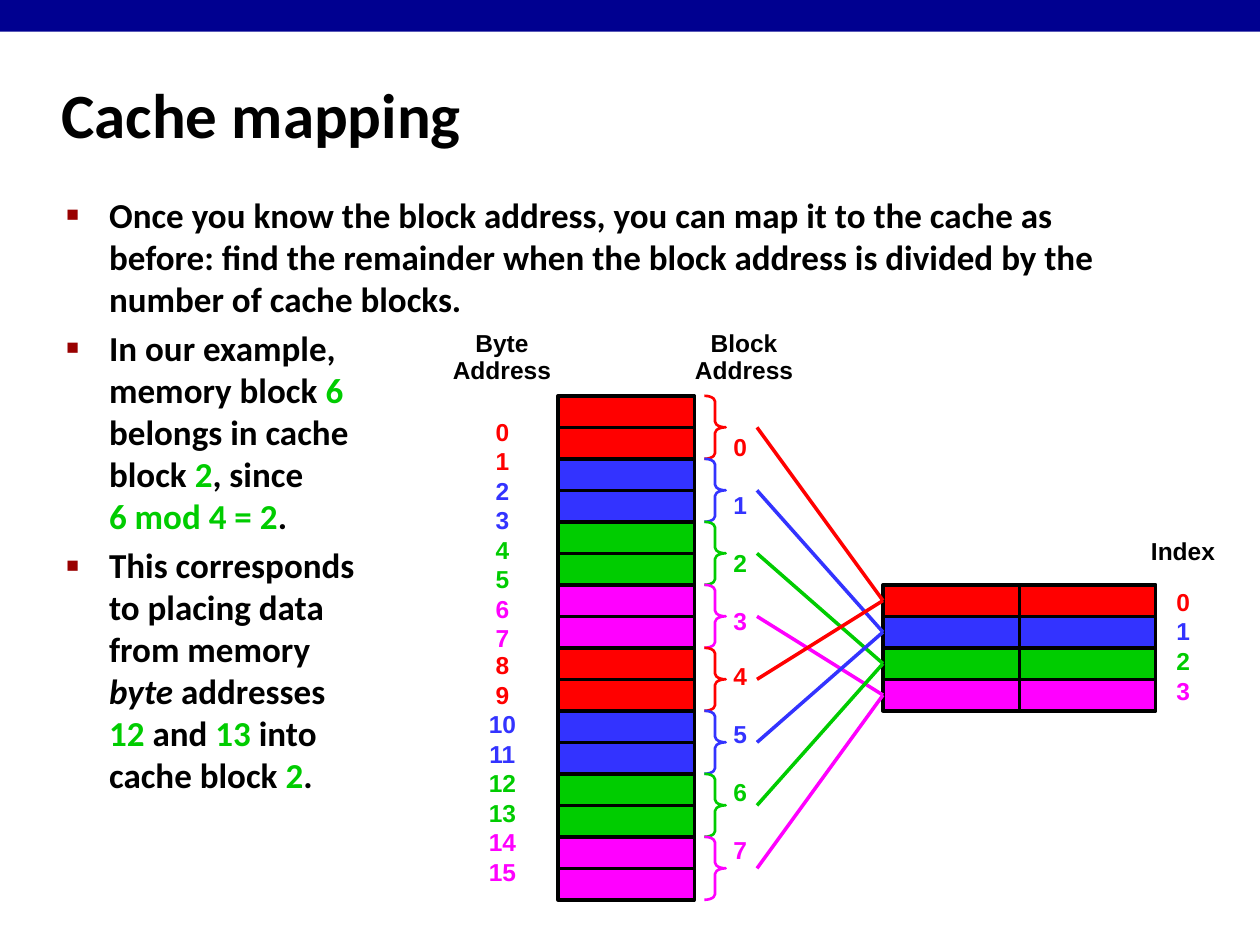
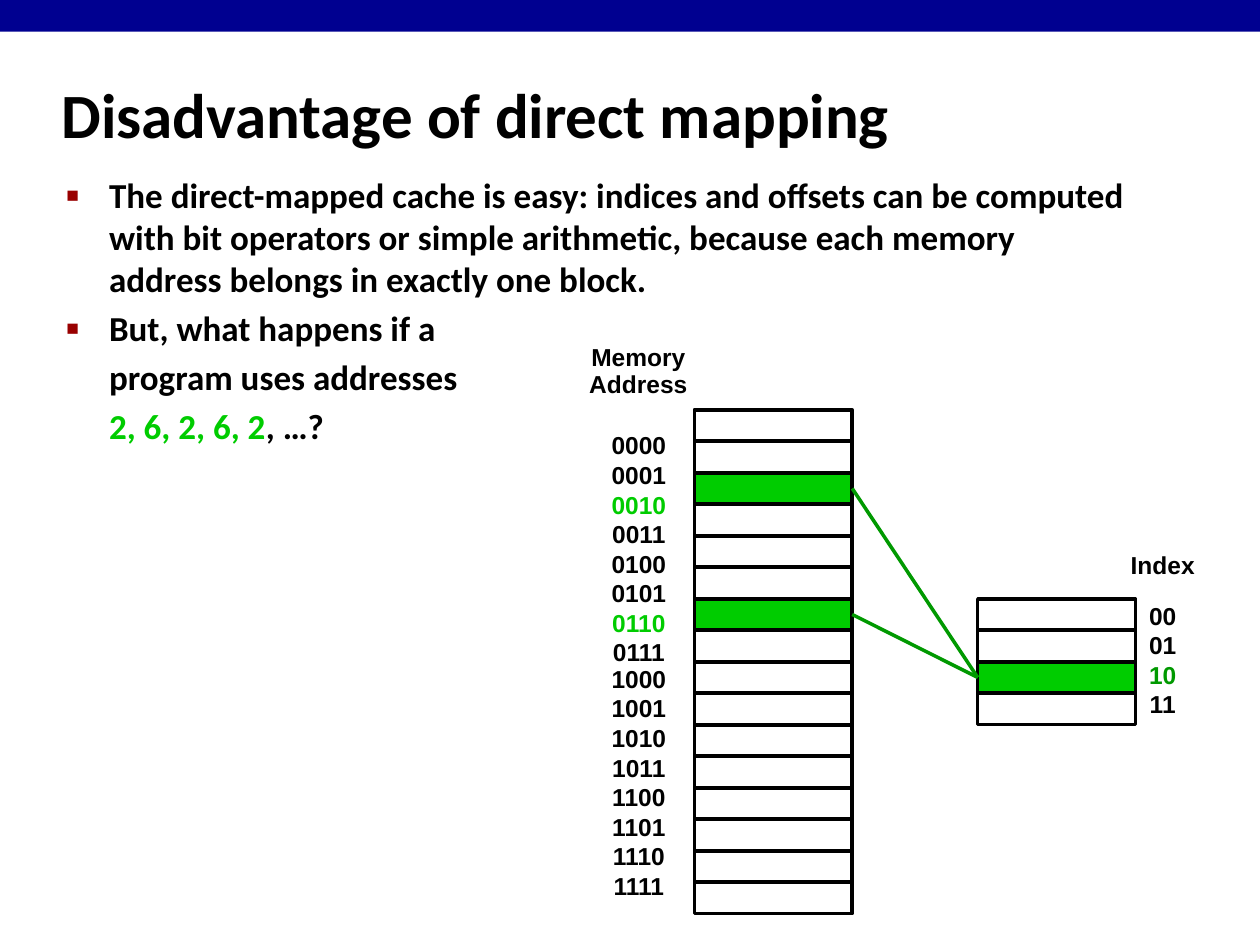
from lxml import etree
from pptx import Presentation
from pptx.dml.color import RGBColor
from pptx.enum.shapes import MSO_CONNECTOR, MSO_SHAPE
from pptx.enum.text import MSO_ANCHOR, PP_ALIGN
from pptx.oxml.ns import qn
from pptx.util import Cm, Pt

RECT, BRACE = MSO_SHAPE.RECTANGLE, MSO_SHAPE.RIGHT_BRACE
STRAIGHT = MSO_CONNECTOR.STRAIGHT
MIDDLE, CENTER = MSO_ANCHOR.MIDDLE, PP_ALIGN.CENTER
LEFT, RIGHT = 1, 3  # connection sites

BLACK, NAVY, MAROON = "000000", "000090", "990000"
RED, BLUE, GREEN, PINK = "FF0000", "3333FF", "00CC00", "FF00FF"
DARK = "009900"
HUES = [RED, BLUE, GREEN, PINK]
HEAD, BODY, LABEL = ("Calibri", 36), ("Calibri", 20), ("Arial", 14)

WIDE, HIGH = 25.4, 19.05
ROW = 10.16 / 16  # sixteen memory cells
TIGHT, LOOSE = 1.75, 18  # points between labels


def rgb(code):
    return RGBColor.from_string(code)


def style(run, face, hue=BLACK):
    font = run.font
    font.name, font.size, font.bold = face[0], Pt(face[1]), True
    font.color.rgb = rgb(hue)


def frame(slide, x, y, w, h):
    """Add a text box and return its wrapping text frame."""
    text = slide.shapes.add_textbox(Cm(x), Cm(y), Cm(w), Cm(h)).text_frame
    text.word_wrap = True
    return text


def shape(slide, kind, x, y, w, h, fill=None, line=None, weight=2):
    item = slide.shapes.add_shape(kind, Cm(x), Cm(y), Cm(w), Cm(h))
    item.shadow.inherit = False
    if fill:
        item.fill.solid()
        item.fill.fore_color.rgb = rgb(fill)
    else:
        item.fill.background()
    if line:
        item.line.color.rgb = rgb(line)
        item.line.width = Pt(weight)
    else:
        item.line.fill.background()
    return item


def link(slide, cell, hue, end=None, point=(0, 0)):
    """Run a line from a cell's left side to another cell or a point in cm."""
    line = slide.shapes.add_connector(
        STRAIGHT, 0, 0, Cm(point[0]), Cm(point[1]))
    line.begin_connect(cell, LEFT)
    if end is not None:
        line.end_connect(end, RIGHT)
    line.line.color.rgb = rgb(hue)
    line.line.width = Pt(2)
    etree.SubElement(line._element.spPr, qn("a:effectLst"))


def labels(slide, mid, y, items, gap=0.0, half=None):
    """Centre lines of (text, hue) on a point; line `half` sits closer."""
    w, h = 2.6, len(items) * 0.57 + 0.2
    text = frame(slide, mid - w / 2, y - h / 2, w, h)
    text.vertical_anchor = MIDDLE
    text.text = "\n".join(word for word, _ in items)
    for i, (para, (_, hue)) in enumerate(zip(text.paragraphs, items)):
        para.alignment, para.line_spacing = CENTER, 0.9
        if i:
            para.space_before = Pt(gap - TIGHT if i == half else gap)
        style(para.runs[0], LABEL, hue)


def header(slide, mid, y, *words):
    labels(slide, mid, y, [(word, BLACK) for word in words])


def column(slide, x, y, w, fills):
    """Stack one cell for each fill."""
    return [shape(slide, RECT, x, y + i * ROW, w, ROW, fill, BLACK)
            for i, fill in enumerate(fills)]


def memory(slide, x, y, w, name, fills, names):
    cells = column(slide, x, y, w, fills)
    header(slide, x - 1.13, y - 0.76, name, "Address")
    labels(slide, x - 1.12, y + 5.19, names, TIGHT, 8)
    return cells


def cache(slide, x, y, w, cols, fills, names):
    """Draw the cache and its index; return the cells of the first column."""
    cells = [column(slide, x + i * w, y, w, fills) for i in range(cols)]
    mid = x + cols * w + 0.55
    header(slide, mid, y - 0.64, "Index")
    labels(slide, mid, y + 1.27, names, TIGHT)
    return cells[0]


def blocks(slide, x, y, cells):
    """Brace each pair of memory cells and link it to its cache cell."""
    hues = HUES * 2
    for i, hue in enumerate(hues):
        top = y + 2 * i * ROW
        brace = shape(slide, BRACE, x + 2.95, top, 0.43, 2 * ROW,
                      line=hue, weight=1.5)
        brace.adjustments[0] = 0.26
        link(slide, cells[i % 4], hue, point=(x + 4.01, top + ROW))
    header(slide, x + 3.75, y - 0.76, "Block", "Address")
    names = [(str(i), hue) for i, hue in enumerate(hues)]
    labels(slide, x + 3.67, y + 5.13, names, LOOSE, 4)


def bullet(props):
    props.set("indent", str(-Cm(0.86)))
    color = etree.SubElement(props, qn("a:buClr"))
    etree.SubElement(color, qn("a:srgbClr"), val=MAROON)
    etree.SubElement(props, qn("a:buSzPct"), val="60000")
    etree.SubElement(props, qn("a:buFont"), typeface="Arial")
    etree.SubElement(props, qn("a:buChar"), char="■")


def body(slide, y, h, items):
    """Write (has bullet, lines); a line alternates black and green parts."""
    text = frame(slide, 1.09, y, 21.95, h)
    for i, (dot, lines) in enumerate(items):
        para = text.add_paragraph() if i else text.paragraphs[0]
        if i:
            para.space_before = Pt(4)
        props = para._p.get_or_add_pPr()
        props.set("marL", str(Cm(0.86)))
        if dot:
            bullet(props)
        for j, line in enumerate(lines):
            if j:
                para.add_line_break()
            for k, part in enumerate(line.split("|")):
                if part:
                    run = para.add_run()
                    run.text = part
                    style(run, BODY, GREEN if k % 2 else BLACK)
                    run.font.italic = part == "byte"


def start(deck, title):
    """Add a slide with the band and title."""
    slide = deck.slides.add_slide(deck.slide_layouts[6])
    shape(slide, RECT, 0, 0, WIDE, 0.64, NAVY)
    text = frame(slide, 0.99, 1.22, 21.08, 2.11)
    text.vertical_anchor = MIDDLE
    text.text = title
    style(text.paragraphs[0].runs[0], HEAD)
    return slide


def mapping(deck):
    slide = start(deck, "Cache mapping")
    body(slide, 3.78, 13.82, [
        (True, ["Once you know the block address, you can map it to the cache "
                "as before: find the remainder when the block address is "
                "divided by the number of cache blocks."]),
        (True, ["In our example,", "memory block |6", "belongs in cache",
                "block |2|, since", "|6 mod 4 = 2|."]),
        (True, ["This corresponds", "to placing data", "from memory",
                "byte|| addresses", "|12 |and| 13| into",
                "cache block |2|."]),
    ])
    x, y = 11.25, 7.98
    fills = [HUES[i // 2 % 4] for i in range(16)]
    memory(slide, x, y, 2.75, "Byte", fills,
           [(str(i), hue) for i, hue in enumerate(fills)])
    cells = cache(slide, x + 6.55, y + 6 * ROW, 2.75, 2, HUES,
                  [(str(i), hue) for i, hue in enumerate(HUES)])
    blocks(slide, x, y, cells)


def drawback(deck):
    slide = start(deck, "Disadvantage of direct mapping")
    body(slide, 3.38, 14.2, [
        (True, ["The direct-mapped cache is easy: indices and offsets can be "
                "computed with bit operators or simple arithmetic, because "
                "each memory address belongs in exactly one block."]),
        (True, ["But, what happens if a"]),
        (False, ["program uses addresses"]),
        (False, ["|2, 6, 2, 6, 2|, …?"]),
    ])
    x, y, w = 14.0, 8.26, 3.18
    used, slot = (2, 6), 2
    cells = memory(slide, x, y, w, "Memory",
                   [GREEN if i in used else None for i in range(16)],
                   [(f"{i:04b}", GREEN if i in used else BLACK)
                    for i in range(16)])
    store = cache(slide, x + 5.71, y + 6 * ROW, w, 1,
                  [GREEN if i == slot else None for i in range(4)],
                  [(f"{i:02b}", DARK if i == slot else BLACK)
                   for i in range(4)])
    for i in used:
        link(slide, store[slot], DARK, cells[i])


def main():
    deck = Presentation()
    deck.slide_width, deck.slide_height = Cm(WIDE), Cm(HIGH)
    mapping(deck)
    drawback(deck)
    deck.save("out.pptx")


if __name__ == "__main__":
    main()
